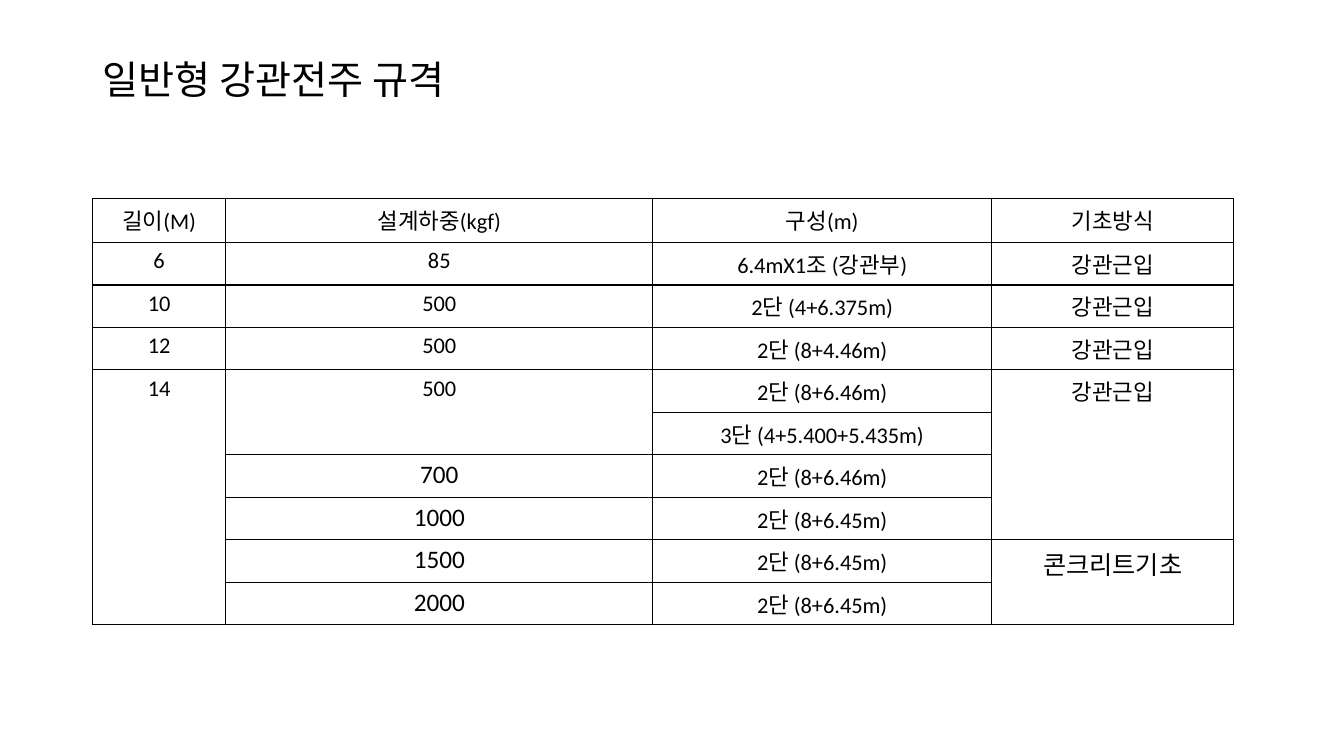
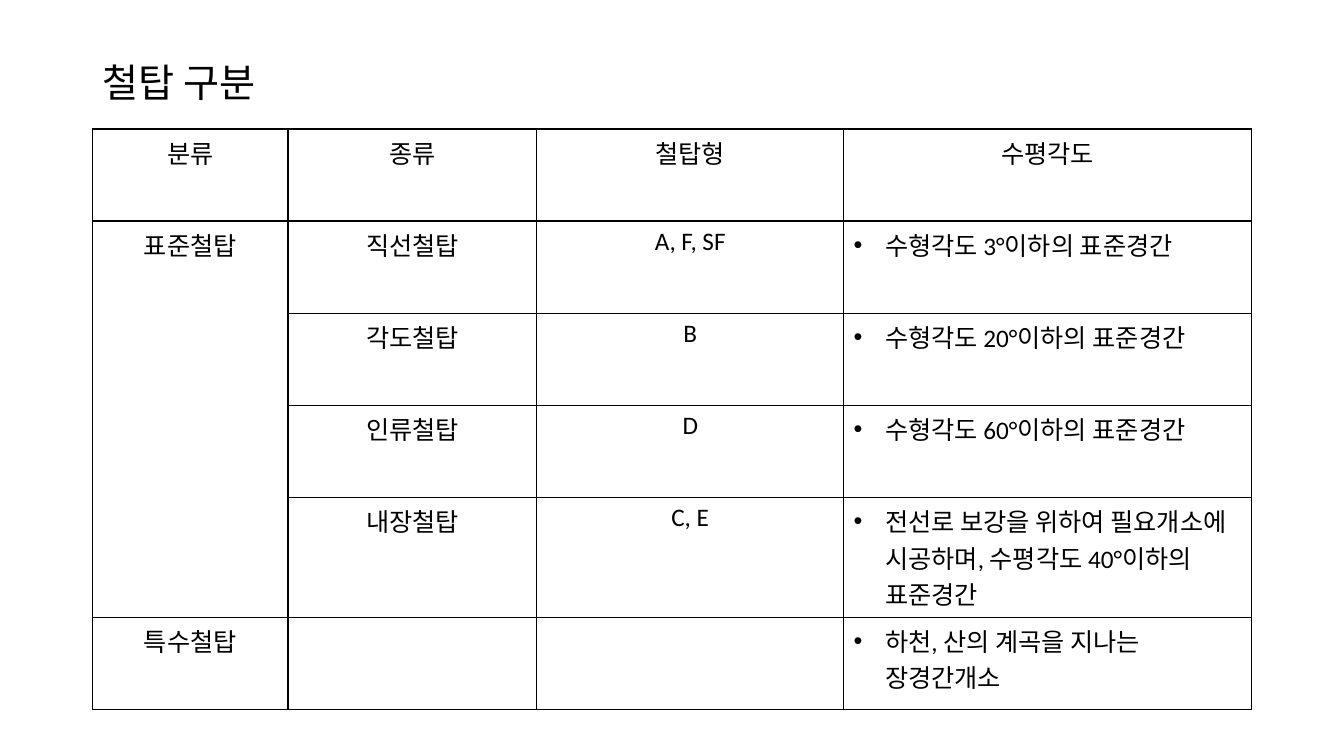
import pptx
import pptx.util
import pptx.dml.color
import pptx.enum.text
import pptx.oxml
import pptx.oxml.ns
from pptx.util import Cm, Pt

COLORS = {"text": "000000", "line": "000000", "background": "FFFFFF"}
FONT = "Calibri"
LEFT, TOP, WIDTH = Cm(2.33), Cm(1.02), Cm(29.21)
ALIGN = pptx.enum.text.PP_ALIGN
NS = pptx.oxml.ns.nsdecls("a")

POLES = [
    ["길이(M)", "설계하중(kgf)", "구성(m)", "기초방식"],
    ["6", "85", "6.4mX1조 (강관부)", "강관근입"],
    ["10", "500", "2단 (4+6.375m)", "강관근입"],
    ["12", "500", "2단 (8+4.46m)", "강관근입"],
    ["14", "500", "2단 (8+6.46m)", "강관근입"],
    [None, None, "3단 (4+5.400+5.435m)", None],
    [None, "700", "2단 (8+6.46m)", None],
    [None, "1000", "2단 (8+6.45m)", None],
    [None, "1500", "2단 (8+6.45m)", "콘크리트기초"],
    [None, "2000", "2단 (8+6.45m)", None],
]
TOWERS = [
    ["분류", "종류", "철탑형", "수평각도"],
    ["표준철탑", "직선철탑", "A, F, SF", "수형각도 3°이하의 표준경간"],
    [None, "각도철탑", "B", "수형각도 20°이하의 표준경간"],
    [None, "인류철탑", "D", "수형각도 60°이하의 표준경간"],
    [None, "내장철탑", "C, E",
     "전선로 보강을 위하여 필요개소에 시공하며, 수평각도 40°이하의 표준경간"],
    ["특수철탑", "", "", "하천, 산의 계곡을 지나는 장경간개소"],
]


def add_text(p, text, size):
    r = p.add_run()
    r.text = text
    r.font.name = FONT
    r.font.size = Pt(size)
    r.font.color.rgb = pptx.dml.color.RGBColor.from_string(COLORS["text"])


def add_title_slide(prs, title, height):
    s = prs.slides.add_slide(prs.slide_layouts.get_by_name("Title Only"))
    s.background.fill.solid()
    s.background.fill.fore_color.rgb = pptx.dml.color.RGBColor.from_string(
        COLORS["background"])
    sp = s.shapes.title
    sp.left, sp.top, sp.width, sp.height = LEFT, TOP, WIDTH, height
    tf = sp.text_frame
    tf.vertical_anchor = pptx.enum.text.MSO_ANCHOR.MIDDLE
    p = tf.paragraphs[0]
    p.alignment = ALIGN.LEFT
    p.line_spacing = 0.9
    add_text(p, title, 28)
    return s


def set_borders(cell):
    tc_pr = cell._tc.get_or_add_tcPr()
    for i, side in enumerate("LRTB"):
        tc_pr.insert(i, pptx.oxml.parse_xml(
            f'<a:ln{side} {NS} w="{Pt(1)}"><a:solidFill>'
            f'<a:srgbClr val="{COLORS["line"]}"/></a:solidFill></a:ln{side}>'))


def set_bullet(p):
    p_pr = p._p.get_or_add_pPr()
    p_pr.set("marL", str(Cm(0.79)))
    p_pr.set("indent", str(-Cm(0.79)))
    p_pr.append(pptx.oxml.parse_xml(f'<a:buFont {NS} typeface="Arial"/>'))
    p_pr.append(pptx.oxml.parse_xml(f'<a:buChar {NS} char="•"/>'))


def add_grid(s, top, widths, heights, rows, size_at, bullet_col=None):
    """Add a ruled table; None continues the cell above it."""
    table = s.shapes.add_table(len(rows), len(widths), LEFT, top,
                               Cm(sum(widths)), Cm(sum(heights))).table
    table.first_row = table.horz_banding = False
    for column, width in zip(table.columns, widths):
        column.width = Cm(width)
    for row, height in zip(table.rows, heights):
        row.height = Cm(height)

    for i, row in enumerate(rows):
        for j, text in enumerate(row):
            cell = table.cell(i, j)
            cell.fill.background()
            set_borders(cell)
            if not text:
                continue
            p = cell.text_frame.paragraphs[0]
            if i and j == bullet_col:
                set_bullet(p)
            else:
                p.alignment = ALIGN.CENTER
            add_text(p, text, size_at(i, j))

    # Vertical merges
    for j in range(len(widths)):
        starts = [i for i, row in enumerate(rows) if row[j] is not None]
        for start, end in zip(starts, starts[1:] + [len(rows)]):
            if end - start > 1:
                table.cell(start, j).merge(table.cell(end - 1, j))


def pole_slide(prs):
    s = add_title_slide(prs, "일반형 강관전주 규격", Cm(2.1))
    # Heavier loads and their foundation are set larger
    add_grid(s, Cm(5), [3.36, 10.76, 8.54, 6.1], [1.11] + [1.07] * 9, POLES,
             lambda i, j: 18 if i >= 6 and j != 2 else 16)


def tower_slide(prs):
    s = add_title_slide(prs, "철탑 구분", Cm(2.23))
    add_grid(s, Cm(3.25), [4.93, 6.27, 7.73, 10.28],
             [2.32] * 4 + [3.02, 2.32], TOWERS, lambda i, j: 18, bullet_col=3)


def main():
    prs = pptx.Presentation()
    prs.slide_width, prs.slide_height = Cm(33.87), Cm(19.05)
    pole_slide(prs)
    tower_slide(prs)
    prs.save("out.pptx")


if __name__ == "__main__":
    main()
